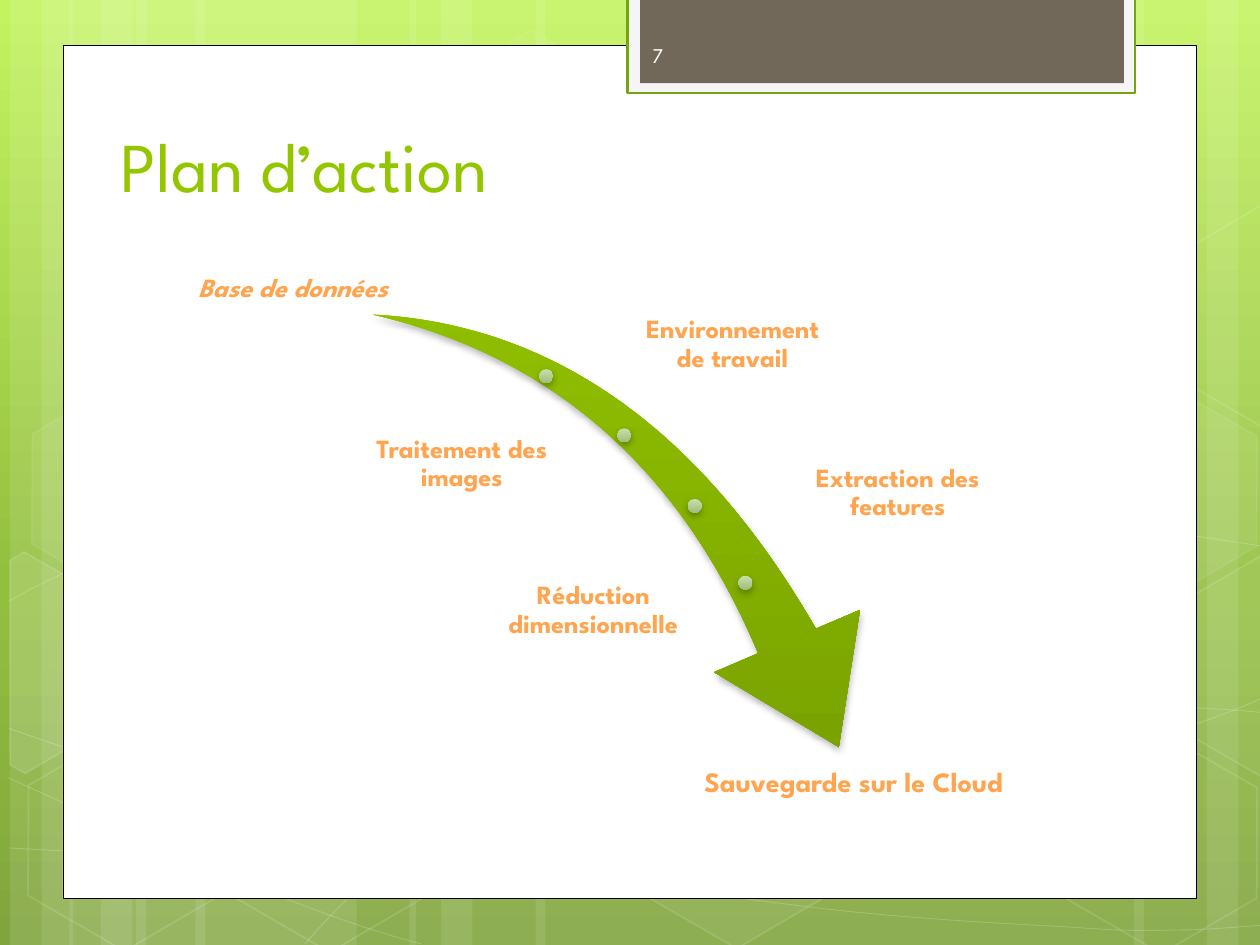
from lxml.etree import SubElement
from pptx import Presentation
from pptx.dml.color import RGBColor
from pptx.enum.shapes import MSO_SHAPE as SHAPE
from pptx.enum.text import MSO_ANCHOR as ANCHOR, PP_ALIGN as ALIGN
from pptx.oxml.ns import qn
from pptx.util import Pt

PX = 9144  # 100 px to the inch
FONT = "League Spartan"
COLORS = {
    "white": "FFFFFF", "black": "000000", "tab_edge": "F5F5F5",
    "tab": "71685A", "tab_line": "74A510", "title": "94C600",
    "label": "FFA44F", "number": "FEFEFE",
}
BACKDROP = [(0, "C3F35F"), (62, "93BF3F"), (100, "81A53E")]
ARROW = [(0, "94C600"), (100, "769D00")]
DOT = [(0, "C8DFAB"), (100, "A0BE7B")]

# left, width of the full-height translucent bands
BANDS = [(108, 175), (8, 50), (33, 83), (155, 175), (55, 50), (80, 83),
         (733, 175), (958, 50), (900, 83), (425, 308), (325, 50), (350, 83)]

# start point, then three points for each Bezier segment
CURVES = [
    [(7, 673), (61, 676), (115, 679), (190, 678), (265, 677), (358, 675), (458, 665),
     (558, 655), (700, 636), (792, 617), (883, 598), (977, 568), (1007, 551)],
    [(7, 477), (36, 461), (65, 446), (121, 431), (178, 416), (259, 394), (347, 387),
     (436, 380), (544, 379), (654, 387), (764, 395), (947, 426), (1007, 434)],
    [(6, 617), (127, 672), (247, 727), (334, 749)],
    [(7, 578), (38, 589), (70, 600), (128, 616), (186, 631), (273, 656), (357, 673),
     (440, 690), (545, 708), (628, 718), (711, 729), (800, 733), (853, 736),
     (905, 740), (919, 738), (945, 738), (971, 737), (989, 735), (1007, 734)],
    [(242, 749), (260, 729), (278, 709), (302, 691), (326, 673), (360, 653), (388, 639),
     (416, 625), (433, 619), (470, 609), (506, 599), (573, 585), (608, 578),
     (644, 571), (649, 571), (680, 569), (711, 566), (760, 563), (794, 562),
     (829, 561), (886, 562), (886, 562), (908, 562), (931, 562), (953, 562),
     (971, 563), (988, 564), (1006, 566)],
]
# left, top, fill alpha (None = no fill), line alpha
HEXAGONS = [(334, 36, 4, 8), (497, 589, 6, 12), (11, 591, None, 12), (14, 312, 7, 8),
            (174, 592, None, 12), (834, 593, None, 12), (834, 314, 7, 8)]
# corners, fill alpha
CUT_HEXAGONS = [
    ([(8, 445), (19, 438), (96, 482), (95, 570), (20, 614), (8, 607)], 10),
    ([(926, 485), (1001, 441), (1009, 446), (1009, 613), (1002, 617), (926, 573)], 4),
    ([(926, 207), (1001, 163), (1010, 168), (1009, 335), (1002, 339), (926, 295)], None),
]
# box, fill, line, line width
FRAMES = [
    ((50, 36, 900, 677), "white", "black", 0.5),
    ((498, -2, 403, 76), "tab_edge", "tab_line", 1.25),
    ((508, -2, 384, 68), "tab", None, 0),
]
ARROW_TURN = 73.3
DOT_SIZE = 11
DOTS = [(428, 293), (490, 340), (546, 396), (586, 457)]

# text, box, size, anchor, italic
STEPS = [
    ("Base de données", (130, 162, 205, 81), 15, ANCHOR.BOTTOM, True),
    ("Environnement de travail", (500, 233, 163, 81), 15, ANCHOR.MIDDLE, False),
    ("Traitement des images", (264, 328, 205, 81), 15, ANCHOR.MIDDLE, False),
    ("Extraction des features", (610, 351, 205, 81), 15, ANCHOR.MIDDLE, False),
    ("Réduction dimensionnelle", (366, 444, 210, 81), 15, ANCHOR.MIDDLE, False),
    ("Sauvegarde sur le Cloud", (539, 581, 277, 81), 16, ANCHOR.MIDDLE, False),
]

deck = Presentation()
deck.slide_width, deck.slide_height = 1000 * PX, 750 * PX
slide = deck.slides.add_slide(deck.slide_layouts[6])


def emu(lengths):
    return [length * PX for length in lengths]


def set_solid(fill, color, holder, alpha=None):
    """Fill with a named colour; holder is the element that owns the solidFill."""
    if color is None:
        fill.background()
        return
    fill.solid()
    fill.fore_color.rgb = RGBColor.from_string(COLORS[color])
    if alpha is not None:
        rgb = holder.find(qn("a:solidFill")).find(qn("a:srgbClr"))
        SubElement(rgb, qn("a:alpha"), val=str(alpha * 1000))


def set_gradient(fill, stops, owner, turn=0):
    """Fill from top to bottom, as seen after the owner is turned."""
    fill.gradient()
    fill.gradient_angle = (270 + turn) % 360
    stop_list = next(owner.iter(qn("a:gsLst")))
    for stop in list(stop_list):
        stop_list.remove(stop)
    for position, color in stops:
        stop = SubElement(stop_list, qn("a:gs"), pos=str(position * 1000))
        SubElement(stop, qn("a:srgbClr"), val=color)


def style(shape, fill=None, line=None, width=0, fill_alpha=None, line_alpha=None):
    shape.shadow.inherit = False
    properties = shape.element.spPr
    set_solid(shape.fill, fill, properties, fill_alpha)
    set_solid(shape.line.fill, line, properties.find(qn("a:ln")), line_alpha)
    if line:
        shape.line.width = Pt(width)


def add_shape(kind, box):
    return slide.shapes.add_shape(kind, *emu(box))


def add_outline(points, close):
    start, *rest = [emu(point) for point in points]
    builder = slide.shapes.build_freeform(*start)
    builder.add_line_segments(rest, close=close)
    return builder.convert_to_shape()


def add_curve(points):
    """Add an open outline and turn every three line segments into one Bezier segment."""
    shape = add_outline(points, False)
    outline = next(shape.element.iter(qn("a:path")))
    segments = outline.findall(qn("a:lnTo"))
    for i in range(0, len(segments), 3):
        bezier = SubElement(outline, qn("a:cubicBezTo"))
        for segment in segments[i:i + 3]:
            bezier.append(segment[0])
            outline.remove(segment)
    return shape


def add_raised(kind, box, stops, turn=0):
    """Add a gradient shape with a soft shadow below it."""
    shape = add_shape(kind, box)
    shape.rotation = turn
    style(shape)
    set_gradient(shape.fill, stops, shape.element, turn)
    effects = shape.element.spPr.find(qn("a:effectLst"))
    shadow = SubElement(effects, qn("a:outerShdw"), blurRad=str(Pt(4)), dist=str(Pt(2)),
                        dir="5400000", rotWithShape="0")
    rgb = SubElement(shadow, qn("a:srgbClr"), val=COLORS["black"])
    SubElement(rgb, qn("a:alpha"), val="28000")
    return shape


def add_text(text, box, size, color, anchor, bold=False, italic=False):
    frame = slide.shapes.add_textbox(*emu(box)).text_frame
    frame.word_wrap = True
    frame.vertical_anchor = anchor
    run = frame.paragraphs[0].add_run()
    run.text = text
    font = run.font
    font.name, font.size, font.bold, font.italic = FONT, Pt(size), bold, italic
    font.color.rgb = RGBColor.from_string(COLORS[color])
    return frame


set_gradient(slide.background.fill, BACKDROP, slide.element)
for left, width in BANDS:
    style(add_shape(SHAPE.RECTANGLE, (left, 0, width, 750)), "white", fill_alpha=10)
for curve in CURVES:
    style(add_curve(curve), None, "white", 0.5, line_alpha=20)
for left, top, fill_alpha, line_alpha in HEXAGONS:
    hexagon = add_shape(SHAPE.HEXAGON, (left, top, 175, 152))
    hexagon.rotation = 30
    hexagon.adjustments[0] = 0.285
    style(hexagon, "white" if fill_alpha else None, "white", 1, fill_alpha, line_alpha)
for corners, fill_alpha in CUT_HEXAGONS:
    style(add_outline(corners, True), "white" if fill_alpha else None, "white", 1,
          fill_alpha, 12)
for box, fill, line, width in FRAMES:
    style(add_shape(SHAPE.RECTANGLE, box), fill, line, width)

add_text("Plan d’action", (86, 44, 768, 125), 40, "title", ANCHOR.BOTTOM)
arrow = add_raised(SHAPE.SWOOSH_ARROW, (286, 263, 435, 303), ARROW, ARROW_TURN)
arrow.adjustments[0], arrow.adjustments[1] = 0.163, 0.314
for left, top in DOTS:
    add_raised(SHAPE.OVAL, (left, top, DOT_SIZE, DOT_SIZE), DOT)
for text, box, size, anchor, italic in STEPS:
    step = add_text(text, box, size, "label", anchor, True, italic)
    step.margin_left = step.margin_right = step.margin_top = step.margin_bottom = 2 * PX
    step.paragraphs[0].alignment = ALIGN.CENTER
    step.paragraphs[0].line_spacing = 0.9
add_text("7", (508, 24, 146, 40), 12, "number", ANCHOR.MIDDLE)

deck.save("out.pptx")
